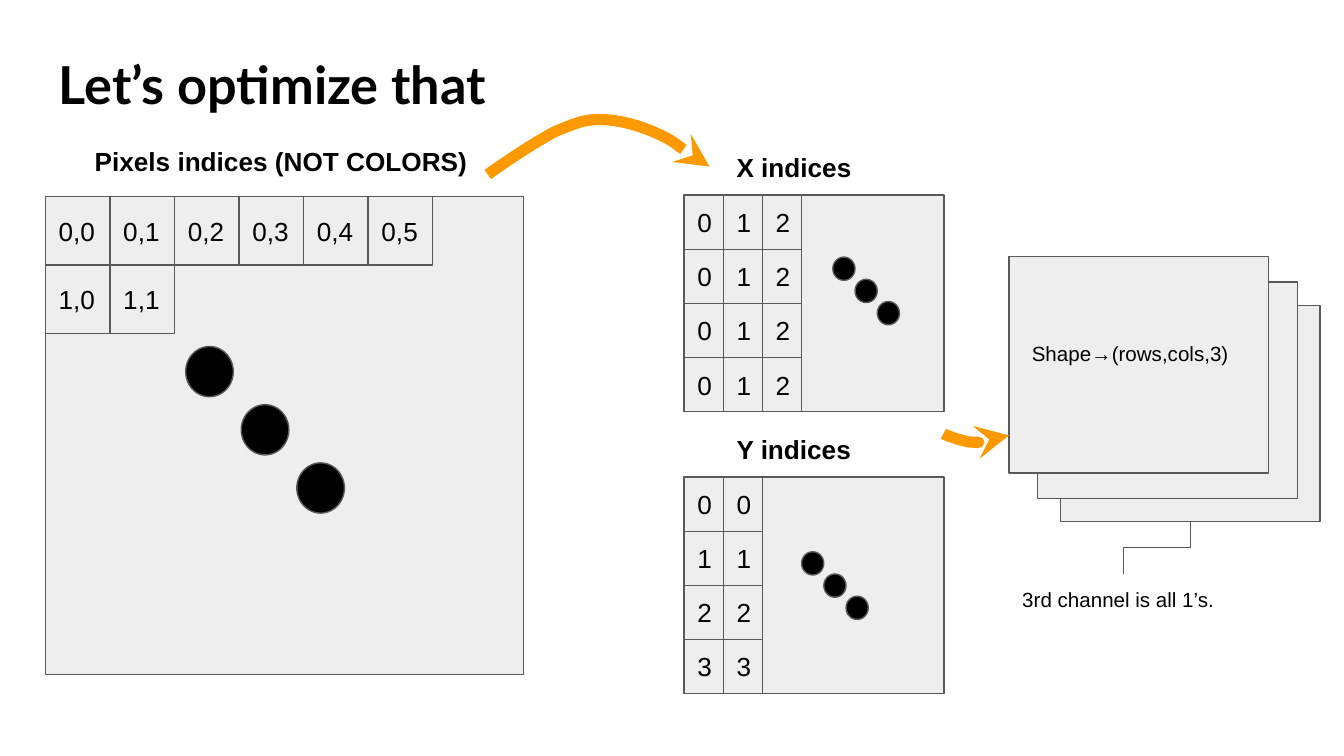
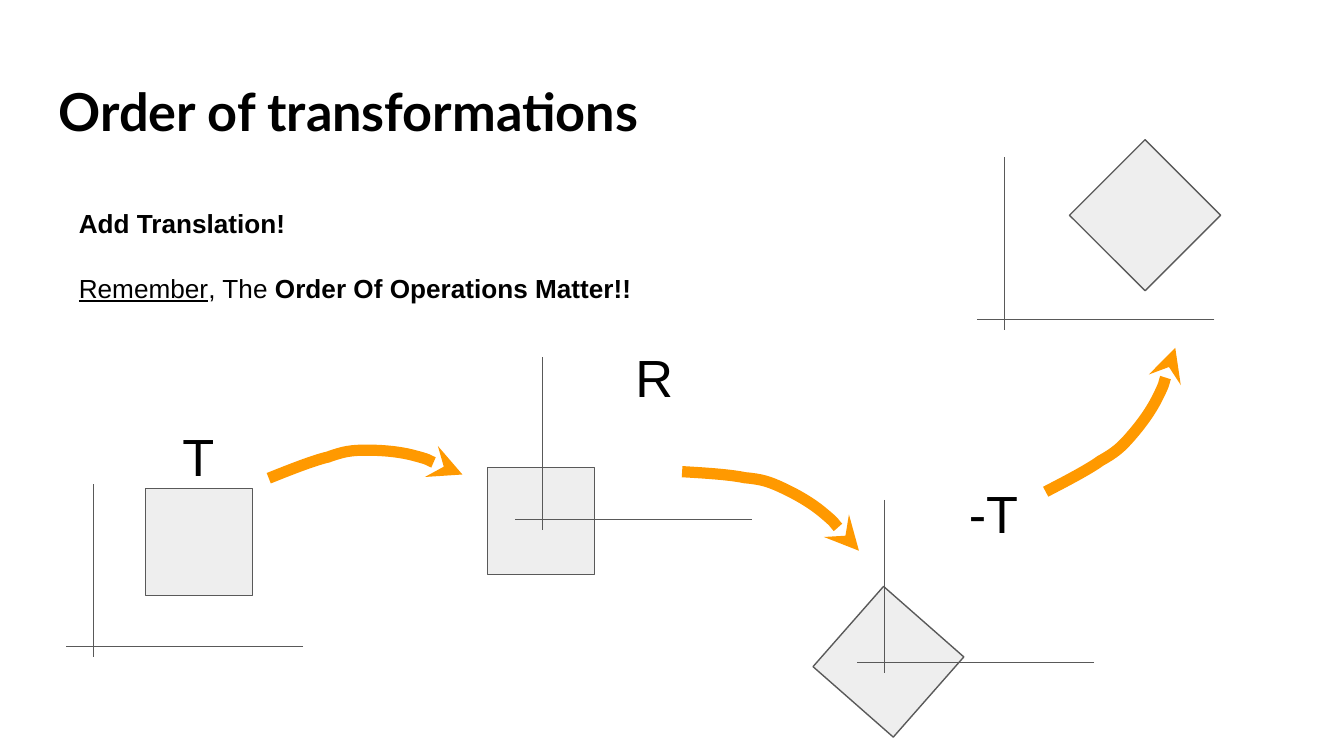
from dataclasses import dataclass

from pptx import Presentation
from pptx.dml.color import RGBColor
from pptx.enum.shapes import MSO_CONNECTOR as CONN, MSO_SHAPE as SHAPE
from pptx.enum.text import MSO_ANCHOR as ANCHOR, MSO_AUTO_SIZE as FIT, PP_ALIGN as ALIGN
from pptx.oxml.ns import qn
from pptx.util import Cm, Pt


@dataclass(frozen=True)
class Theme:
    ink: RGBColor = RGBColor(0, 0, 0)
    panel: RGBColor = RGBColor(0xEE, 0xEE, 0xEE)
    outline: RGBColor = RGBColor(0x59, 0x59, 0x59)
    accent: RGBColor = RGBColor(0xFF, 0x99, 0x00)
    title_font: str = "Lato"
    body_font: str = "Arial"
    title: float = 28
    symbol: float = 28
    body: float = 14
    note: float = 11
    thin: float = 0.75
    thick: float = 6
    inset: float = 0.25


T = Theme()

# All positions and sizes are in centimetres.
SLIDE = (25.4, 14.29)
TITLE_BOX = (0.86, 23.67, 1.6)  # left, width, height

# Slide 1: cell rows, panel and dots of each index grid
SMALL_PANEL = (4.91, 4.09)
GRIDS = [
    dict(heading="Pixels indices (NOT COLORS)", heading_box=(1.54, 2.49, 7.67, 0.95),
         panel=(0.86, 3.71, 9.04, 9.04), cell=(1.22, 1.3),
         rows=[["0,0", "0,1", "0,2", "0,3", "0,4", "0,5"], ["1,0", "1,1"]],
         dots=(3.51, 6.55), dot=(0.9, 0.95), dot_step=(1.05, 1.1)),
    dict(heading="X indices", heading_box=(13.67, 2.61, 2.74, 1.28),
         panel=(12.93, 3.69, *SMALL_PANEL), cell=(0.74, SMALL_PANEL[1] / 4),
         rows=[["0", "1", "2"]] * 4,
         dots=(15.74, 4.86), dot=(0.42, 0.44), dot_step=(0.42, 0.42)),
    dict(heading="Y indices", heading_box=(13.67, 7.94, 2.74, 1.28),
         panel=(12.93, 9.02, *SMALL_PANEL), cell=(0.74, SMALL_PANEL[1] / 4),
         rows=[[n, n] for n in "0123"],
         dots=(15.15, 10.43), dot=(0.42, 0.44), dot_step=(0.42, 0.42)),
]
CHANNELS = [(20.04, 5.77), (19.61, 5.33), (19.07, 4.85)]  # back to front
CHANNEL_NOTES = [
    ("Shape→(rows,cols,3)", (19.25, 6.2, 4.32, 0.95)),
    ("3rd channel is all 1’s.", (19.07, 10.85, 4.32, 0.95)),
]
NOTE_LINK = (22.5, 9.86, 21.23, 10.85)
# Bézier curves: a start, then three points per segment
TO_X_INDICES = [
    (9.22, 3.3), (9.42, 3.15), (10.13, 2.67), (10.49, 2.49),
    (10.85, 2.34), (11.02, 2.26), (11.33, 2.26),
    (11.63, 2.26), (11.99, 2.34), (12.34, 2.49),
    (12.7, 2.64), (13.23, 3.05), (13.41, 3.15)]
TO_CHANNELS = [
    (17.83, 8.2), (17.88, 8.23), (18.11, 8.31), (18.21, 8.33),
    (18.31, 8.36), (18.36, 8.36), (18.44, 8.36),
    (18.54, 8.36), (18.64, 8.36), (18.75, 8.33),
    (18.85, 8.31), (19.02, 8.26), (19.07, 8.23)]

# Slide 2
MESSAGE_BOX = (1.24, 3.68, 12.27, 2.26)
MESSAGE = [  # paragraphs of (text, bold, underline)
    [("Add Translation!", True, False)],
    [("Remember", False, True), (", The ", False, False),
     ("Order Of Operations Matter!!", True, False)],
]
MESSAGE_GAP = 17.6
SIDE = 2.02
STAGES = [  # square left, top, rotation; top of its vertical axis
    ((2.75, 9.24, 0), (1.77, 9.15)),
    ((9.22, 8.84, 0), (10.25, 6.75)),
    ((15.78, 11.5, 41.3), (16.72, 9.45)),
    ((20.63, 3.06, 45), (18.99, 2.97)),
]
AXIS_UP, AXIS_ORIGIN, AXIS_LEFT, AXIS_RIGHT = 3.27, 3.07, 0.52, 3.96
STEPS = [("T", 3.2, 7.77), ("R", 11.76, 6.27), ("-T", 18.06, 8.84)]
STEP_SIZE = (1.75, 1.32)
ARC_HEIGHT = 0.53
ARC = [
    (0, 0.53), (0.18, 0.46), (0.81, 0.2), (1.12, 0.13),
    (1.42, 0.02), (1.57, 0), (1.85, 0),
    (2.11, 0), (2.44, 0.02), (2.74, 0.1),
    (3.05, 0.18), (3.51, 0.41), (3.66, 0.46)]
ARCS = [  # left, top, rotation, mirrored top to bottom
    (5.08, 8.51, 0, False), (12.83, 9.19, 25.2, False), (19.33, 7.82, -49.1, True)]


def cm(values):
    return [Cm(v) for v in values]


def set_font(font, size, bold=False, name=T.body_font):
    font.name, font.size, font.bold = name, Pt(size), bold
    font.color.rgb = T.ink


def set_frame(tf, anchor=ANCHOR.TOP):
    tf.word_wrap, tf.auto_size, tf.vertical_anchor = True, FIT.NONE, anchor
    tf.margin_left = tf.margin_right = tf.margin_top = tf.margin_bottom = Cm(T.inset)


def add_slide(prs, title, top):
    s = prs.slides.add_slide(prs.slide_layouts[5])
    sp = s.shapes.title
    left, width, height = TITLE_BOX
    sp.left, sp.top, sp.width, sp.height = cm((left, top, width, height))
    set_frame(sp.text_frame)
    p = sp.text_frame.paragraphs[0]
    p.text, p.alignment = title, ALIGN.LEFT
    set_font(p.font, T.title, True, T.title_font)
    return s


def add_text(s, text, box, size, bold=False):
    tf = s.shapes.add_textbox(*cm(box)).text_frame
    set_frame(tf)
    p = tf.paragraphs[0]
    p.text = text
    set_font(p.font, size, bold)


def add_outlined(s, box, kind=SHAPE.RECTANGLE, fill=T.panel, text=None, rotation=0):
    sp = s.shapes.add_shape(kind, *cm(box))
    sp.shadow.inherit = False
    sp.fill.solid()
    sp.fill.fore_color.rgb = fill
    sp.line.color.rgb, sp.line.width = T.outline, Pt(T.thin)
    sp.rotation = rotation
    if text:
        set_frame(sp.text_frame, ANCHOR.MIDDLE)
        p = sp.text_frame.paragraphs[0]
        p.text, p.alignment = text, ALIGN.LEFT
        set_font(p.font, T.body)


def add_line(s, ends, kind=CONN.STRAIGHT):
    line = s.shapes.add_connector(kind, *cm(ends))
    line.line.color.rgb, line.line.width = T.outline, Pt(T.thin)
    sppr = line.element.spPr
    sppr.append(sppr.makeelement(qn("a:effectLst"), {}))
    return line


def add_elbow_down(s, x1, y1, x2, y2):
    """Elbow that leaves downwards: a sideways elbow turned by 90 degrees."""
    cx, cy = (x1 + x2) / 2, (y1 + y2) / 2
    dx, dy = (y2 - y1) / 2, (x1 - x2) / 2
    line = add_line(s, (cx - dx, cy - dy, cx + dx, cy + dy), CONN.ELBOW)
    line.element.spPr.find(qn("a:xfrm")).set("rot", str(90 * 60000))


def add_curved_arrow(s, points, rotation=0):
    """Freeform through the points, with each three segments joined into a Bézier."""
    start, *rest = [cm(pt) for pt in points]
    builder = s.shapes.build_freeform(*start)
    builder.add_line_segments(rest, close=False)
    sp = builder.convert_to_shape()
    path = next(sp.element.iter(qn("a:path")))
    segments = path.findall(qn("a:lnTo"))
    for i in range(0, len(segments), 3):
        curve = path.makeelement(qn("a:cubicBezTo"), {})
        for segment in segments[i:i + 3]:
            curve.append(segment[0])
            path.remove(segment)
        path.append(curve)
    sp.shadow.inherit = False
    sp.fill.background()
    sp.line.color.rgb, sp.line.width = T.accent, Pt(T.thick)
    ln = sp.element.spPr.find(qn("a:ln"))
    ln.append(ln.makeelement(qn("a:tailEnd"), {"type": "stealth"}))
    sp.rotation = rotation


def add_index_grid(s, grid):
    add_outlined(s, grid["panel"])
    left, top = grid["panel"][:2]
    w, h = grid["cell"]
    for r, row in enumerate(grid["rows"]):
        for c, label in enumerate(row):
            add_outlined(s, (left + c * w, top + r * h, w, h), text=label)
    (x, y), (dx, dy) = grid["dots"], grid["dot_step"]
    for i in range(3):
        add_outlined(s, (x + i * dx, y + i * dy, *grid["dot"]), SHAPE.OVAL, T.ink)
    add_text(s, grid["heading"], grid["heading_box"], T.body, True)


def build_optimize(prs):
    s = add_slide(prs, "Let’s optimize that", 0.74)
    for grid in GRIDS:
        add_index_grid(s, grid)
    for corner in CHANNELS:
        add_outlined(s, (*corner, *SMALL_PANEL))
    for text, box in CHANNEL_NOTES:
        add_text(s, text, box, T.note)
    add_elbow_down(s, *NOTE_LINK)
    for curve in (TO_X_INDICES, TO_CHANNELS):
        add_curved_arrow(s, curve)


def add_message(s):
    tf = s.shapes.add_textbox(*cm(MESSAGE_BOX)).text_frame
    set_frame(tf)
    for i, runs in enumerate(MESSAGE):
        p = tf.add_paragraph() if i else tf.paragraphs[0]
        if i:
            p.space_before = Pt(MESSAGE_GAP)
        for text, bold, underline in runs:
            r = p.add_run()
            r.text = text
            set_font(r.font, T.body, bold)
            r.font.underline = underline


def build_order(prs):
    s = add_slide(prs, "Order of transformations", 1.25)
    add_message(s)
    for (left, top, rotation), (x, y) in STAGES:
        add_outlined(s, (left, top, SIDE, SIDE), rotation=rotation)
        add_line(s, (x, y, x, y + AXIS_UP))
        add_line(s, (x + AXIS_RIGHT, y + AXIS_ORIGIN, x - AXIS_LEFT, y + AXIS_ORIGIN))
    for text, x, y in STEPS:
        add_text(s, text, (x, y, *STEP_SIZE), T.symbol)
    for left, top, rotation, mirrored in ARCS:
        points = [(left + x, top + (ARC_HEIGHT - y if mirrored else y)) for x, y in ARC]
        add_curved_arrow(s, points, rotation)


def main():
    prs = Presentation()
    prs.slide_width, prs.slide_height = cm(SLIDE)
    build_optimize(prs)
    build_order(prs)
    prs.save("out.pptx")


if __name__ == "__main__":
    main()
